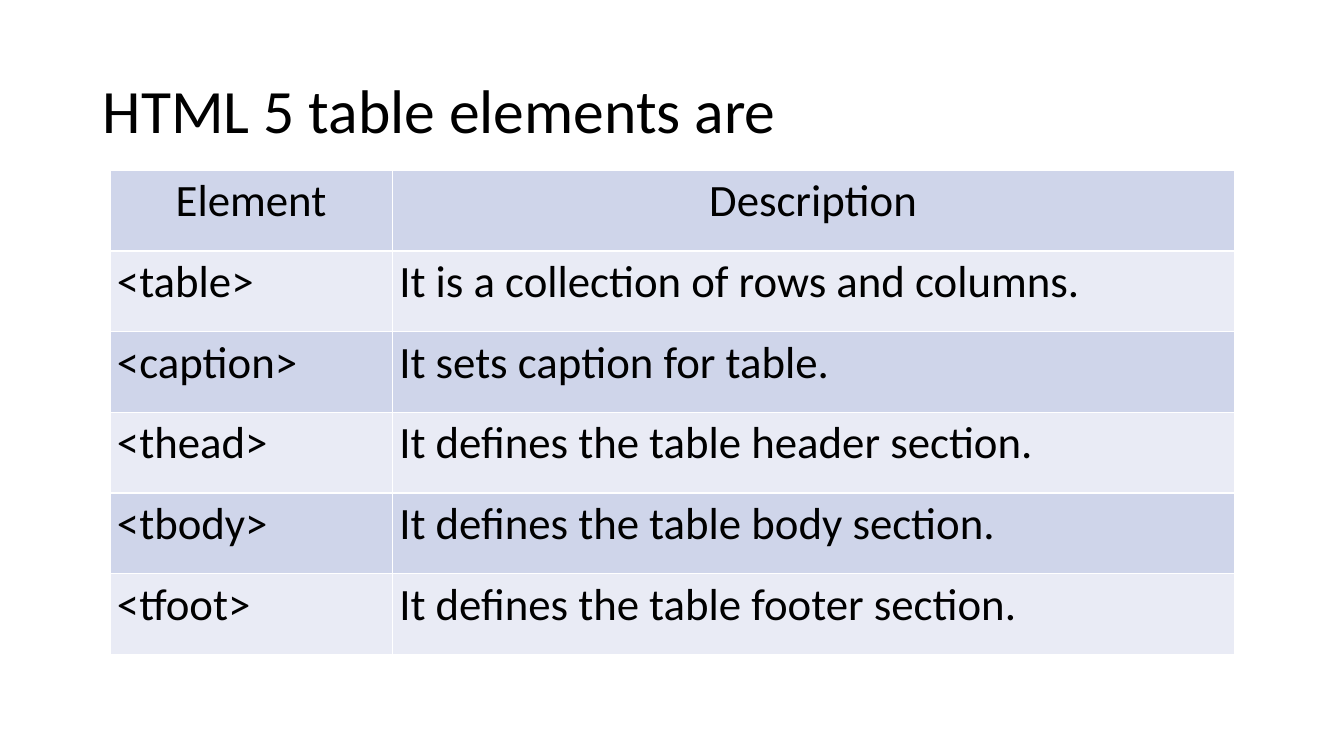
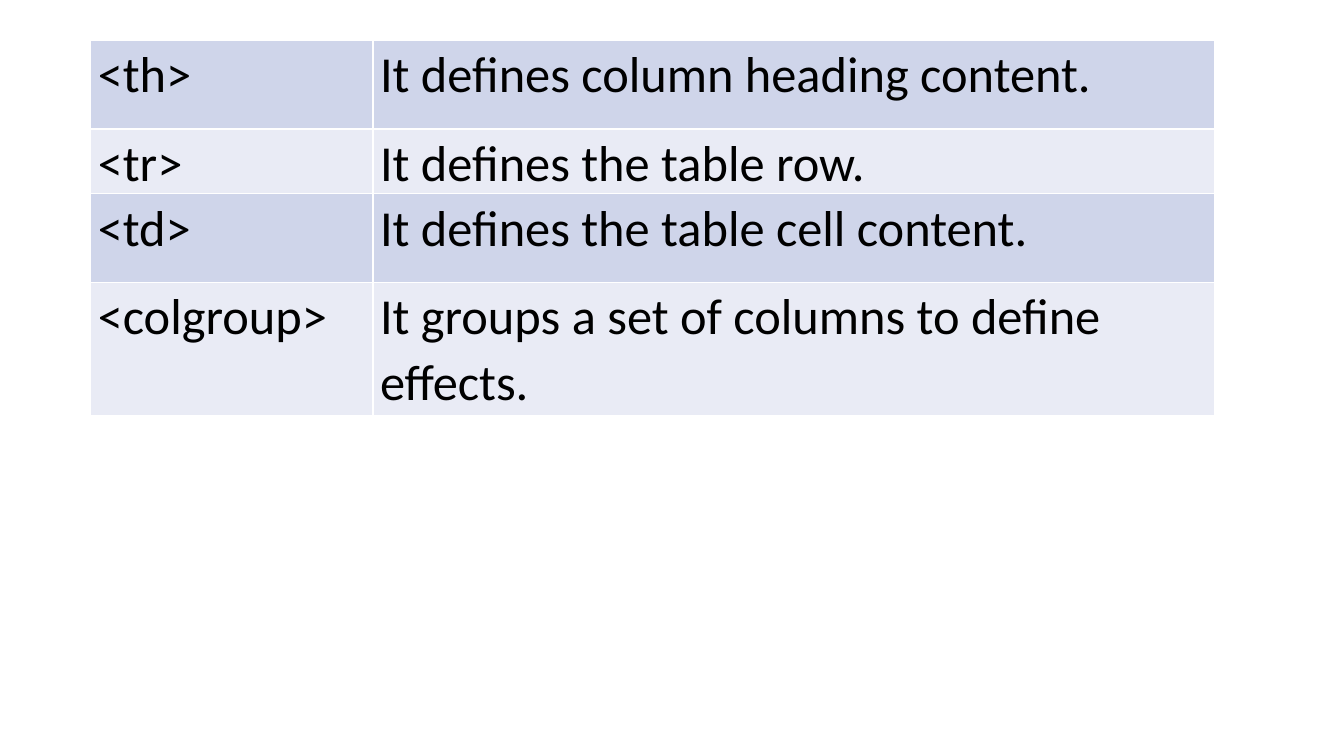
from lxml.etree import SubElement as Sub
from pptx import Presentation
from pptx.dml.color import RGBColor as RGB
from pptx.enum.text import MSO_ANCHOR as Anchor, PP_ALIGN as Align
from pptx.oxml.ns import qn
from pptx.util import Inches, Pt

HUES = {"text": "000000", "dark": "CFD5EA", "light": "E9EBF5", "rule": "FFFFFF"}
FONT = "Calibri"
COLS = (2.8, 8.35)


def write(frame, text, size, align=Align.LEFT, space=1.07, after=8):
    par = frame.paragraphs[0]
    par.alignment = align
    par.line_spacing = space
    par.space_after = Pt(after)
    run = par.add_run()
    run.text = text
    run.font.size = Pt(size)
    run.font.name = FONT
    run.font.color.rgb = RGB.from_string(HUES["text"])


def edge(cell):
    props = cell._tc.get_or_add_tcPr()
    for side in ("lnL", "lnR", "lnT", "lnB"):
        line = Sub(props, qn(f"a:{side}"), w=str(Pt(1)))
        Sub(Sub(line, qn("a:solidFill")), qn("a:srgbClr"), val=HUES["rule"])


# Slide content: title, table place, text size, header flag, row heights, rows
PAGES = [
    ("HTML 5 table elements are", (1.09, 1.69), 32, True, [0.8] * 6, [
        ("Element", "Description"),
        ("<table>", "It is a collection of rows and columns."),
        ("<caption>", "It sets caption for table."),
        ("<thead>", "It defines the table header section."),
        ("<tbody>", "It defines the table body section."),
        ("<tfoot>", "It defines the table footer section."),
    ]),
    (None, (0.9, 0.4), 36, False, [0.88, 0.43, 0.88, 1.32], [
        ("<th>", "It defines column heading content."),
        ("<tr>", "It defines the table row."),
        ("<td>", "It defines the table cell content."),
        ("<colgroup>", "It groups a set of columns to define effects."),
    ]),
]

deck = Presentation()
deck.slide_width, deck.slide_height = Inches(13.33), Inches(7.5)

for title, (left, top), size, head, highs, rows in PAGES:
    slide = deck.slides.add_slide(deck.slide_layouts[6])

    # Title
    if title:
        box = slide.shapes.add_textbox(Inches(0.92), Inches(0.4), Inches(11.5), Inches(1.45))
        box.text_frame.word_wrap = True
        box.text_frame.vertical_anchor = Anchor.MIDDLE
        write(box.text_frame, title, 44, space=0.9, after=0)

    # Table grid
    table = slide.shapes.add_table(
        len(rows), len(COLS), Inches(left), Inches(top),
        Inches(sum(COLS)), Inches(sum(highs))).table
    table.first_row = head
    table.horz_banding = False
    for col, wide in zip(table.columns, COLS):
        col.width = Inches(wide)

    # Banded rows
    for r, (row, high, texts) in enumerate(zip(table.rows, highs, rows)):
        row.height = Inches(high)
        for cell, text in zip(row.cells, texts):
            edge(cell)
            cell.fill.solid()
            cell.fill.fore_color.rgb = RGB.from_string(HUES["light" if r % 2 else "dark"])
            cell.margin_left = cell.margin_right = Inches(0.07)
            cell.margin_top = cell.margin_bottom = 0
            write(cell.text_frame, text, size,
                  align=Align.CENTER if head and r == 0 else Align.LEFT)
            cell.text_frame.paragraphs[0].runs[0].font.bold = False

deck.save("out.pptx")
